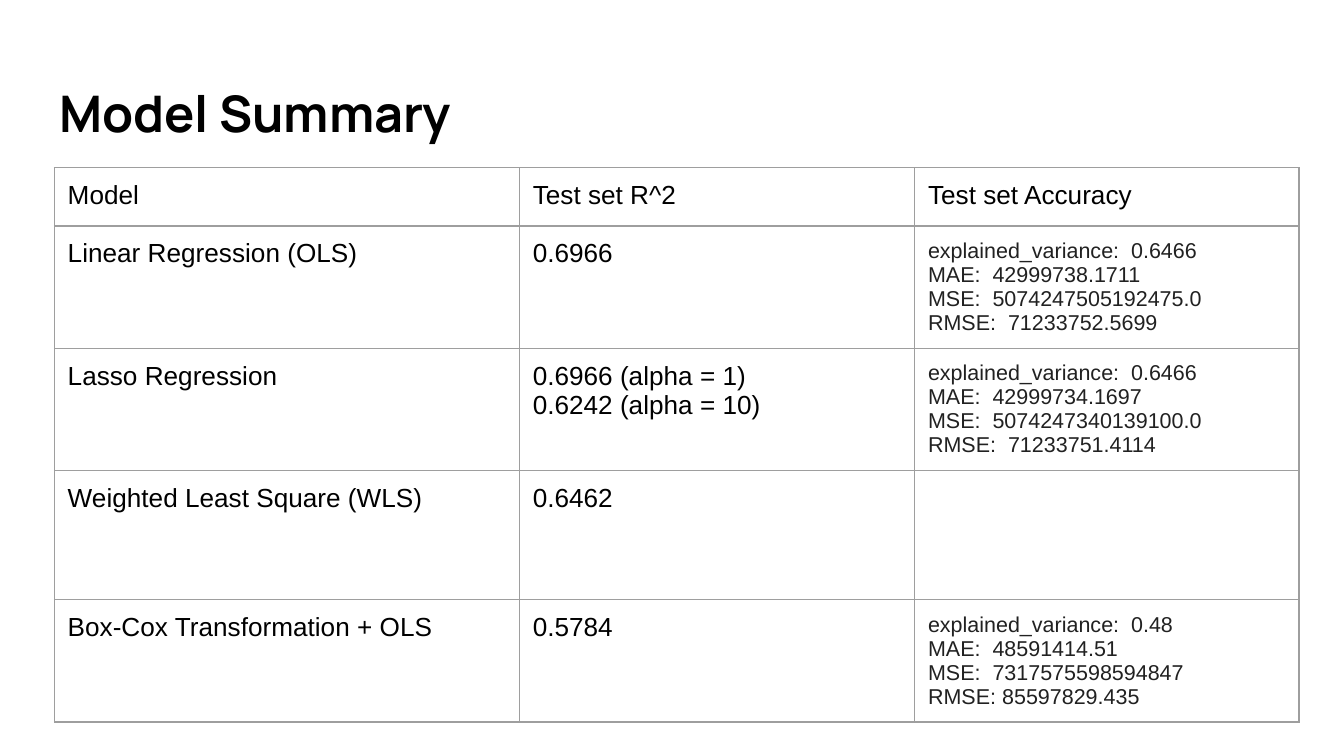
from lxml import etree
from pptx import Presentation
from pptx import util as u
from pptx.dml import color
from pptx.enum import text
from pptx.oxml import ns

COLORS = {"title": "000000", "body": "000000", "metrics": "212121", "border": "9E9E9E"}
FORMATS = {
    "title": {"name": "Manrope", "size": u.Pt(27), "bold": True},
    "body": {"name": "Arial", "size": u.Pt(14), "bold": False},
    "metrics": {"name": "Arial", "size": u.Pt(11.5), "bold": False},
}
MARGINS = ("margin_left", "margin_right", "margin_top", "margin_bottom")
PADDING = u.Cm(0.25)
COLUMN_WIDTHS = (8.79, 7.47, 7.26)
ROW_HEIGHTS = (1.1, 2.28, 2.28, 2.44, 2.13)
ROWS = [
    ("Model", "Test set R^2", "Test set Accuracy"),
    ("Linear Regression (OLS)", "0.6966",
     "explained_variance:  0.6466\nMAE:  42999738.1711\n"
     "MSE:  5074247505192475.0\nRMSE:  71233752.5699"),
    ("Lasso Regression", "0.6966 (alpha = 1)\n0.6242 (alpha = 10)",
     "explained_variance:  0.6466\nMAE:  42999734.1697\n"
     "MSE:  5074247340139100.0\nRMSE:  71233751.4114"),
    ("Weighted Least Square (WLS)", "0.6462", ""),
    ("Box-Cox Transformation + OLS", "0.5784",
     "explained_variance:  0.48\nMAE:  48591414.51\n"
     "MSE:  7317575598594847\nRMSE: 85597829.435"),
]


def write(frame, content, style):
    """Fill a text frame with one left-aligned paragraph per line."""
    frame.text = content
    for para in frame.paragraphs:
        para.alignment = text.PP_ALIGN.LEFT
        for span in para.runs:
            for name, value in FORMATS[style].items():
                setattr(span.font, name, value)
            span.font.color.rgb = color.RGBColor.from_string(COLORS[style])


def add_borders(cell):
    properties = cell._tc.get_or_add_tcPr()
    for index, side in enumerate(("a:lnL", "a:lnR", "a:lnT", "a:lnB")):
        line = etree.Element(ns.qn(side), w=str(u.Pt(0.75)))
        fill = etree.SubElement(line, ns.qn("a:solidFill"))
        etree.SubElement(fill, ns.qn("a:srgbClr"), val=COLORS["border"])
        properties.insert(index, line)


deck = Presentation()
deck.slide_width, deck.slide_height = u.Cm(25.4), u.Cm(14.29)
page = deck.slides.add_slide(deck.slide_layouts[5])

title = page.shapes.title
title.left, title.top = u.Cm(0.87), u.Cm(1.25)
title.width, title.height = u.Cm(23.67), u.Cm(1.73)
for margin in MARGINS:
    setattr(title.text_frame, margin, PADDING)
title.text_frame.vertical_anchor = text.MSO_ANCHOR.MIDDLE
title.text_frame.auto_size = text.MSO_AUTO_SIZE.NONE
write(title.text_frame, "Model Summary", "title")

table = page.shapes.add_table(
    len(ROWS), len(COLUMN_WIDTHS), u.Cm(1.03), u.Cm(3.17),
    u.Cm(sum(COLUMN_WIDTHS)), u.Cm(sum(ROW_HEIGHTS))).table
table.first_row = table.horz_banding = False
for column, width in zip(table.columns, COLUMN_WIDTHS):
    column.width = u.Cm(width)
for row, height in zip(table.rows, ROW_HEIGHTS):
    row.height = u.Cm(height)

for row_index, entries in enumerate(ROWS):
    for column_index, entry in enumerate(entries):
        cell = table.cell(row_index, column_index)
        for margin in MARGINS:
            setattr(cell, margin, PADDING)
        cell.vertical_anchor = text.MSO_ANCHOR.TOP
        cell.fill.background()
        add_borders(cell)
        is_metrics = row_index > 0 and column_index == 2
        write(cell.text_frame, entry, "metrics" if is_metrics else "body")

deck.save("out.pptx")
